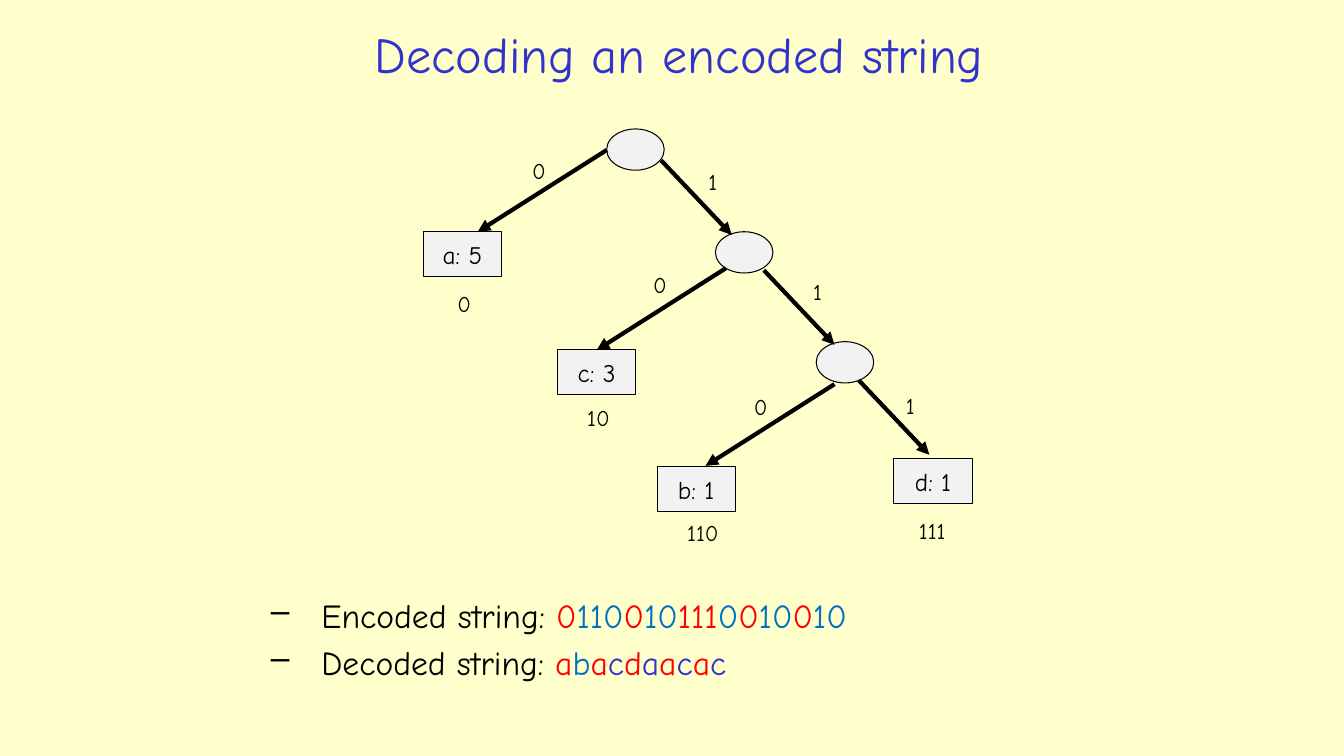
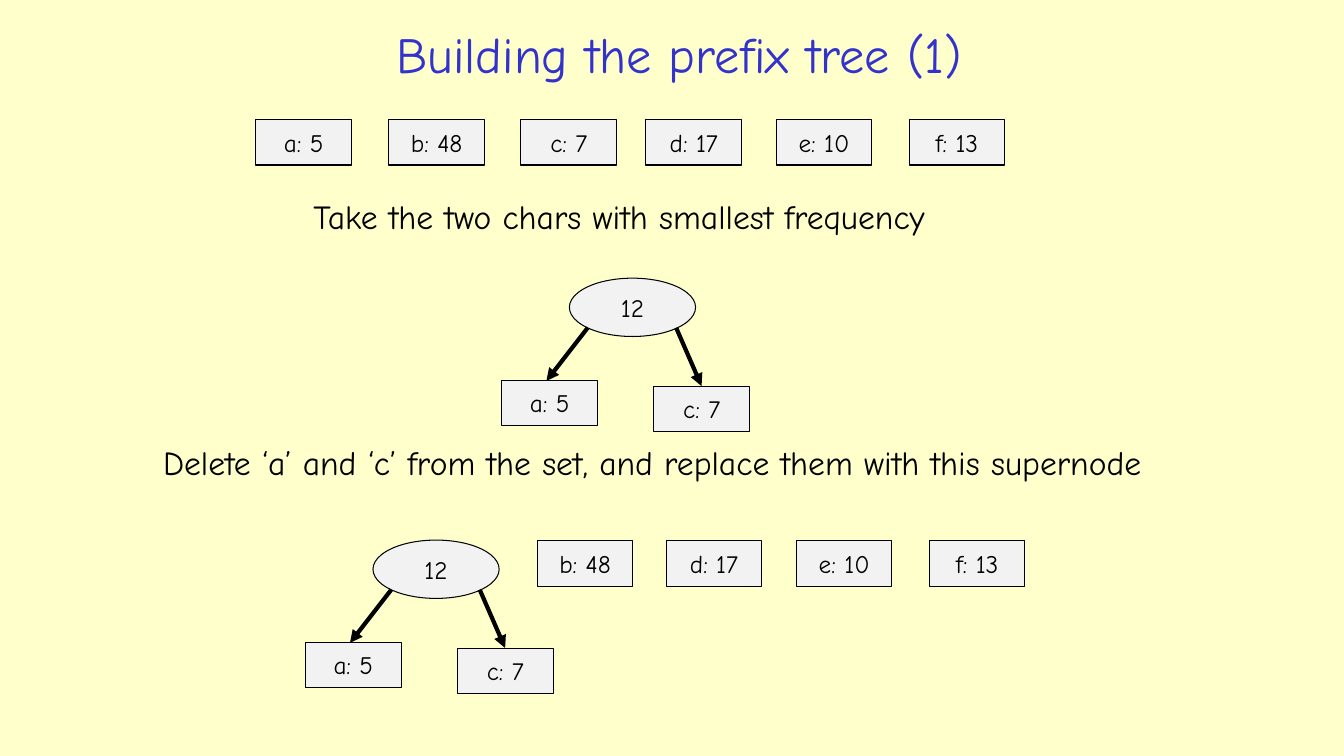
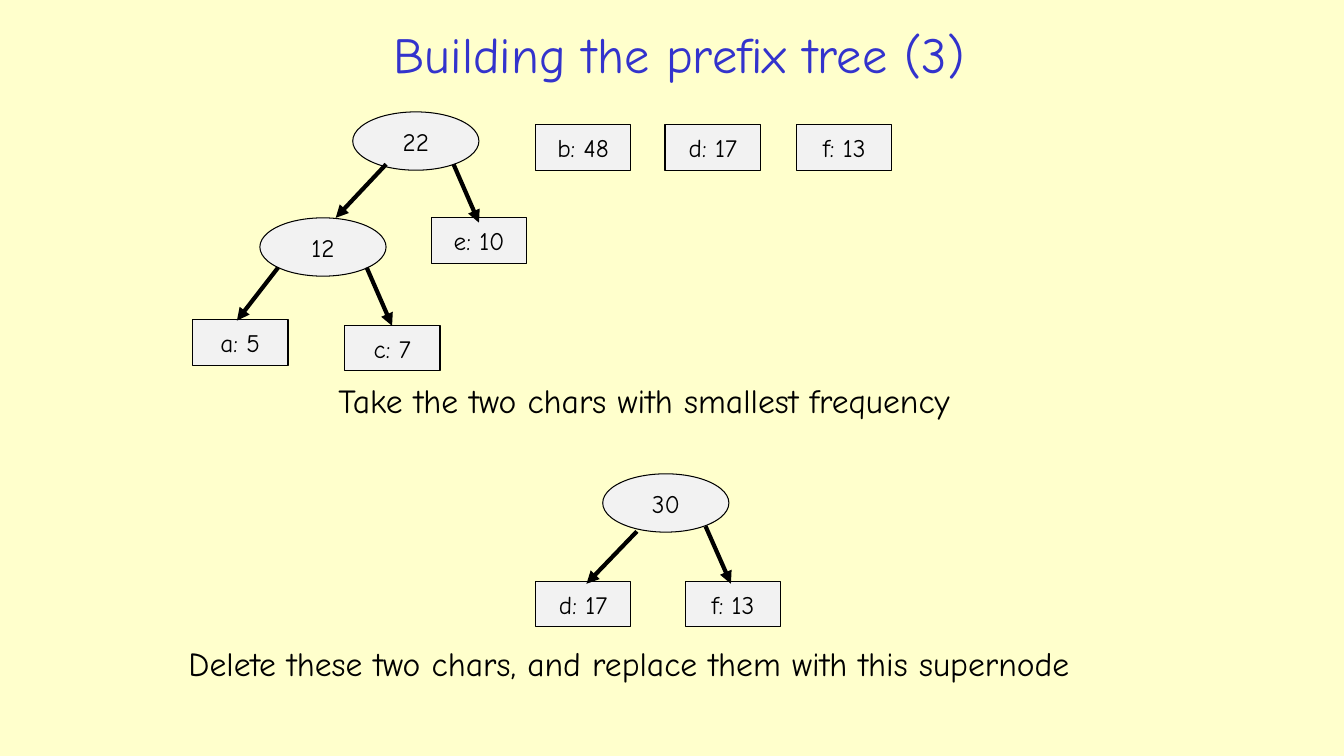
"""Build three slides on prefix trees: decoding a string and building the tree."""
from lxml.etree import SubElement
from pptx import Presentation
from pptx.dml.color import RGBColor
from pptx.enum.shapes import MSO_CONNECTOR as Connector, MSO_SHAPE as Preset
from pptx.enum.text import MSO_ANCHOR as Anchor, MSO_AUTO_SIZE as AutoSize, PP_ALIGN as Align
from pptx.oxml.ns import qn
from pptx.util import Cm, Pt

color = RGBColor.from_string
FONT = "Comic Neue"
PAPER, INK, NODE_FILL = "FFFFCC", "000000", "F2F2F2"
VIOLET, RED, BLUE = "3333CC", "FF0000", "0070C0"
LEAF, INNER = (1.97, 1.14), (1.45, 1.04)
CHAR_BOX, SUPERNODE = (2.41, 1.14), (3.18, 1.47)


def add_node(slide, preset, text, x, y, size):
    """Draw a tree node with its text centred."""
    node = slide.shapes.add_shape(preset, Cm(x), Cm(y), Cm(size[0]), Cm(size[1]))
    node.shadow.inherit = False
    node.fill.solid()
    node.fill.fore_color.rgb = color(NODE_FILL)
    node.line.color.rgb = color(INK)
    node.line.width = Pt(0.75)
    if text:
        paragraph = node.text_frame.paragraphs[0]
        paragraph.text = text
        paragraph.alignment = Align.CENTER
        paragraph.font.name = FONT
        paragraph.font.size = Pt(18)
        paragraph.font.color.rgb = color(INK)


def add_edge(slide, x, y, dx, dy):
    """Draw a tree edge as an arrow from a point by an offset."""
    edge = slide.shapes.add_connector(Connector.STRAIGHT, Cm(x), Cm(y), Cm(x + dx), Cm(y + dy))
    edge.line.color.rgb = color(INK)
    edge.line.width = Pt(3)
    SubElement(edge.line._get_or_add_ln(), qn("a:tailEnd"), type="triangle")
    SubElement(edge._element.spPr, qn("a:effectLst"))


prs = Presentation()
prs.slide_width, prs.slide_height = Cm(33.87), Cm(19.05)
background = prs.slide_master.background.fill
background.solid()
background.fore_color.rgb = color(PAPER)

slides = []
for heading in ("Decoding an encoded string", "Building the prefix tree (1)", "Building the prefix tree (3)"):
    slide = prs.slides.add_slide(prs.slide_layouts[5])
    title = slide.shapes.title
    title.left, title.top, title.width, title.height = Cm(5), Cm(0.38), Cm(24.23), Cm(1.93)
    title.text_frame.vertical_anchor = Anchor.MIDDLE
    paragraph = title.text_frame.paragraphs[0]
    paragraph.text = heading
    paragraph.alignment = Align.CENTER
    paragraph.font.name = FONT
    paragraph.font.size = Pt(36)
    paragraph.font.color.rgb = color(VIOLET)
    slides.append(slide)
decoding, first_step, third_step = slides

for text, x, y in (("a: 5", 10.67, 5.84), ("c: 3", 14.05, 8.81), ("b: 1", 16.56, 11.76), ("d: 1", 22.53, 11.56)):
    add_node(decoding, Preset.RECTANGLE, text, x, y, LEAF)
for x, y in ((15.29, 3.25), (18.03, 5.84), (20.57, 8.61)):
    add_node(decoding, Preset.OVAL, "", x, y, INNER)
for x, y in ((15.29, 3.78), (18.29, 6.76), (21.03, 9.68)):
    add_edge(decoding, x, y, -3.25, 2.06)
for x, y in ((16.66, 4.04), (19.25, 6.81), (21.64, 9.58)):
    add_edge(decoding, x, y, 1.78, 1.88)

strings = decoding.shapes.add_textbox(Cm(5.31), Cm(14.86), Cm(24.13), Cm(3.38)).text_frame
strings.word_wrap = True
coded_lines = (
    ("Encoded string: ", (
        ("0", RED), ("110", BLUE), ("0", RED), ("10", BLUE), ("111", RED),
        ("0", BLUE), ("0", RED), ("10", BLUE), ("0", RED), ("10", BLUE))),
    ("Decoded string: ", (
        ("a", RED), ("b", BLUE), ("a", RED), ("c", VIOLET), ("d", RED),
        ("a", VIOLET), ("a", RED), ("c", VIOLET), ("a", RED), ("c", VIOLET))),
)
for index, (lead, codes) in enumerate(coded_lines):
    paragraph = strings.add_paragraph() if index else strings.paragraphs[0]
    paragraph.level = 1
    paragraph.space_before = Pt(4.8)
    properties = paragraph._p.get_or_add_pPr()
    properties.set("marL", str(Cm(2.54)))
    properties.set("indent", str(-Cm(1.27)))
    SubElement(properties, qn("a:buChar"), char="–")
    paragraph.font.name = FONT
    paragraph.font.size = Pt(24)
    for text, shade in ((lead, INK), *codes):
        run = paragraph.add_run()
        run.text = text
        run.font.color.rgb = color(shade)

char_rows = (
    (first_step, 3.02, (("a: 5", 6.45), ("b: 48", 9.8), ("c: 7", 13.13),
                        ("d: 17", 16.28), ("e: 10", 19.56), ("f: 13", 22.91))),
    (first_step, 13.63, (("b: 48", 13.54), ("d: 17", 16.79), ("e: 10", 20.07), ("f: 13", 23.42))),
    (third_step, 3.15, (("b: 48", 13.49), ("d: 17", 16.76), ("f: 13", 20.07))),
)
for slide, y, chars in char_rows:
    for text, x in chars:
        add_node(slide, Preset.RECTANGLE, text, x, y, CHAR_BOX)

children_of = {
    "12": (("a: 5", -1.7, 2.57), ("c: 7", 2.13, 2.72)),
    "22": (("e: 10", 1.98, 2.67),),
    "30": (("d: 17", -1.7, 2.72), ("f: 13", 2.08, 2.72)),
}
edges_of = {
    "12": ((0.46, 1.25, -1.04, 1.34), (2.69, 1.25, 0.64, 1.47)),
    "22": ((0.84, 1.32, -1.27, 1.35), (2.54, 1.32, 0.64, 1.47)),
    "30": ((0.86, 1.45, -1.27, 1.32), (2.59, 1.32, 0.64, 1.45)),
}
supernodes = (
    (first_step, "12", 14.35, 7.01),
    (first_step, "12", 9.4, 13.61),
    (third_step, "12", 6.55, 5.49),
    (third_step, "22", 8.89, 2.82),
    (third_step, "30", 15.19, 11.94),
)
for slide, total, x, y in supernodes:
    add_node(slide, Preset.OVAL, total, x, y, SUPERNODE)
    for text, dx, dy in children_of[total]:
        add_node(slide, Preset.RECTANGLE, text, x + dx, y + dy, CHAR_BOX)
    for start_x, start_y, dx, dy in edges_of[total]:
        add_edge(slide, x + start_x, y + start_y, dx, dy)

take_two = "Take the two chars with smallest frequency"
bits = (
    ("0", 13.16, 3.84), ("1", 17.6, 4.11), ("0", 16.21, 6.71), ("0", 18.75, 9.78),
    ("1", 20.24, 6.88), ("1", 22.58, 9.75), ("0", 11.28, 7.19), ("10", 14.55, 10.06),
    ("110", 17.07, 12.95), ("111", 22.91, 12.9),
)
captions = [(decoding, text, x, y, 0.61 + 0.25 * len(text), 0.94, 16) for text, x, y in bits]
captions += [
    (first_step, take_two, 7.65, 4.8, 17.98, 1.27, 24),
    (first_step, "Delete ‘a’ and ‘c’ from the set, and replace them with this supernode",
     3.86, 11.02, 27.61, 1.27, 24),
    (third_step, take_two, 8.28, 9.45, 17.98, 1.27, 24),
    (third_step, "Delete these two chars, and replace them with this supernode",
     4.5, 16.08, 25.22, 1.27, 24),
]
for slide, text, x, y, width, height, size in captions:
    caption = slide.shapes.add_textbox(Cm(x), Cm(y), Cm(width), Cm(height)).text_frame
    caption.word_wrap = False
    caption.auto_size = AutoSize.SHAPE_TO_FIT_TEXT
    paragraph = caption.paragraphs[0]
    paragraph.text = text
    paragraph.font.name = FONT
    paragraph.font.size = Pt(size)
    paragraph.font.color.rgb = color(INK)

prs.save("out.pptx")
